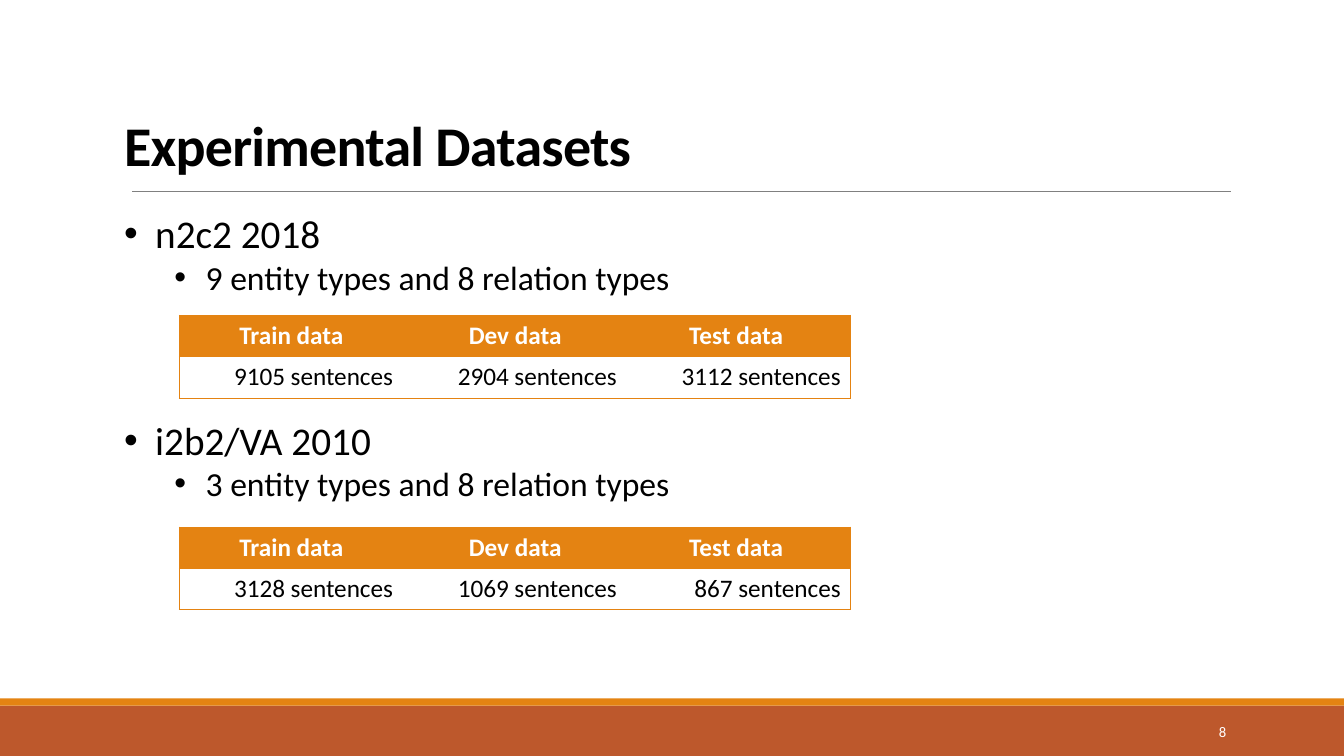
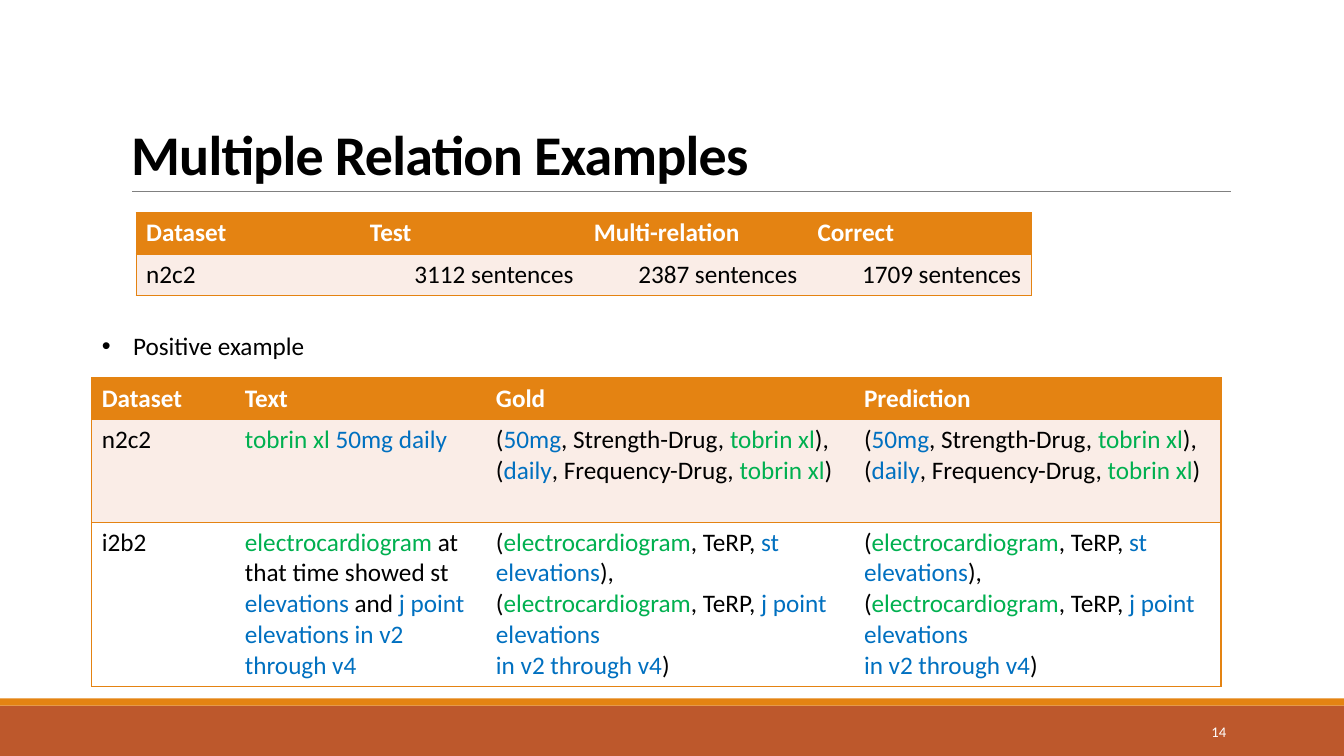
from pptx import Presentation
from pptx.dml.color import RGBColor
from pptx.enum.shapes import MSO_CONNECTOR, MSO_SHAPE
from pptx.enum.text import MSO_ANCHOR, MSO_AUTO_SIZE, PP_ALIGN
from pptx.oxml.ns import qn
from pptx.util import Inches, Pt
from lxml import etree

LEFT, MID, RIGHT = PP_ALIGN.LEFT, PP_ALIGN.CENTER, PP_ALIGN.RIGHT
FONT = "Calibri"
HEX = {"rust": "BD582C", "orange": "E48312", "tint": "FAEDE7", "white": "FFFFFF",
       "black": "000000", "gray": "808080", "green": "00B050", "blue": "0070C0"}

# Content: a rich cell is a list of paragraphs, each a list of (text, colour) runs
HEAD = ["Train data", "Dev data", "Test data "]
SETS = [
    ("n2c2 2018", "9 entity types and 8 relation types", 3.13,
     ["9105 sentences", "2904 sentences", "3112 sentences"]),
    ("i2b2/VA 2010", "3 entity types and 8 relation types", 5.23,
     ["3128 sentences", "1069 sentences", "867 sentences"]),
]
COUNTS = [
    ["Dataset", "Test", "Multi-relation", "Correct"],
    ["n2c2", "3112 sentences", "2387 sentences", "1709 sentences"],
]
DRUG = ("tobrin xl", "green")
TEST = ("electrocardiogram", "green")
OPEN, CLOSE, NEXT = ("(", "black"), (")", "black"), ("),", "black")
TERP = (", TeRP, ", "black")
DOSES = [
    [OPEN, ("50mg", "blue"), (", Strength-Drug, ", "black"), DRUG, NEXT],
    [OPEN, ("daily", "blue"), (", Frequency-Drug, ", "black"), DRUG, CLOSE],
]
SIGNS = [
    [OPEN, TEST, TERP, ("st elevations", "blue"), NEXT],
    [OPEN, TEST, TERP, ("j point elevations", "blue")],
    [("in v2 through v4", "blue"), CLOSE],
]
ORDER = [[DRUG, (" ", "black"), ("50mg daily", "blue")]]
REPORT = [[TEST, (" at that time showed st ", "black"), ("elevations", "blue"),
           (" and ", "black"), ("j point elevations in v2 through v4", "blue")]]
CASES = [
    ["Dataset", "Text", "Gold", "Prediction"],
    ["n2c2", ORDER, DOSES, DOSES],
    ["i2b2", REPORT, SIGNS, SIGNS],
]


def rgb(name):
    """Look up a named colour."""
    return RGBColor.from_string(HEX[name])


def style(para, size, color="black", bold=False, align=LEFT):
    """Set the font and alignment of a paragraph."""
    para.alignment = align
    font = para.font
    font.name, font.size, font.bold = FONT, Pt(size), bold
    font.color.rgb = rgb(color)


def place(shape, left, top, width, height):
    """Move and size a shape, in inches."""
    shape.left, shape.top = Inches(left), Inches(top)
    shape.width, shape.height = Inches(width), Inches(height)


def frame(slide):
    """Draw the bands and title rule and hand them to the slide's layout."""
    parts = []
    for top, height, color in [(7, 0.5, "rust"), (6.93, 0.07, "orange")]:
        band = slide.shapes.add_shape(MSO_SHAPE.RECTANGLE, 0, Inches(top),
                                      Inches(13.33), Inches(height))
        band.shadow.inherit = False
        band.fill.solid()
        band.fill.fore_color.rgb = rgb(color)
        band.line.fill.background()
        parts.append(band)
    rule = slide.shapes.add_connector(MSO_CONNECTOR.STRAIGHT, Inches(1.31),
                                      Inches(1.9), Inches(12.21), Inches(1.9))
    rule.line.color.rgb = rgb("gray")
    rule.line.width = Pt(0.5)
    etree.SubElement(rule.element.spPr, qn("a:effectLst"))
    for part in parts + [rule]:
        slide.slide_layout.shapes.element.append(part.element)


def start(deck, title, number, box):
    """Add a slide with its title and page number."""
    slide = deck.slides.add_slide(deck.slide_layouts[1])
    head = slide.shapes.title
    place(head, *box)
    text = head.text_frame
    text.text = title
    text.vertical_anchor = MSO_ANCHOR.BOTTOM
    text.auto_size = MSO_AUTO_SIZE.NONE
    para = text.paragraphs[0]
    para.line_spacing = 0.85
    style(para, 40, bold=True)
    para._p.get_or_add_pPr().get_or_add_defRPr().set("spc", "-50")
    page = slide.shapes.add_textbox(Inches(10.83), Inches(7.06), Inches(1.43), Inches(0.4))
    page.text_frame.word_wrap = True
    page.text_frame.vertical_anchor = MSO_ANCHOR.MIDDLE
    page.text_frame.text = str(number)
    style(page.text_frame.paragraphs[0], 10.5, "white", align=RIGHT)
    return slide


def bullets(slide, box, items):
    """Fill the body placeholder from (text, level, size, space before)."""
    body = slide.placeholders[1]
    place(body, *box)
    text = body.text_frame
    text.auto_size = MSO_AUTO_SIZE.NONE
    text.text = "\n".join(item[0] for item in items)
    for para, (_, level, size, gap) in zip(text.paragraphs, items):
        para.level = level
        para.space_before = Pt(gap)
        props = para._p.get_or_add_pPr()
        props.set("marL", str(Inches(0.31 + 0.5 * level)))
        props.set("indent", str(Inches(-0.31)))
        etree.SubElement(props, qn("a:buFont"), typeface="Arial")
        etree.SubElement(props, qn("a:buChar"), char="\u2022")
        style(para, size)


def edges(cell, first, last):
    """Rule a cell above and below, and at the outer sides of the table."""
    props = cell._tc.get_or_add_tcPr()
    sides = [("a:lnL", first), ("a:lnR", last), ("a:lnT", True), ("a:lnB", True)]
    for spot, (tag, shown) in enumerate(sides):
        line = etree.Element(qn(tag), w=str(Pt(1)))
        if shown:
            fill = etree.SubElement(line, qn("a:solidFill"))
            etree.SubElement(fill, qn("a:srgbClr"), val=HEX["orange"])
        else:
            etree.SubElement(line, qn("a:noFill"))
        props.insert(spot, line)


def write(cell, content, color, bold, align):
    """Put plain or rich text in a cell."""
    text = cell.text_frame
    if isinstance(content, str):
        content = [[(content, color)]]
    for i, runs in enumerate(content):
        para = text.add_paragraph() if i else text.paragraphs[0]
        style(para, 18, color, bold, align)
        for words, tone in runs:
            run = para.add_run()
            run.text = words
            if tone != color:
                run.font.color.rgb = rgb(tone)


def grid(slide, left, top, widths, heights, rows, fills, aligns):
    """Add a table; aligns holds the header's and the body's alignments."""
    table = slide.shapes.add_table(len(rows), len(widths), Inches(left), Inches(top),
                                   Inches(sum(widths)), Inches(sum(heights))).table
    for column, width in zip(table.columns, widths):
        column.width = Inches(width)
    for r, row in enumerate(rows):
        table.rows[r].height = Inches(heights[r])
        for c, content in enumerate(row):
            cell = table.cell(r, c)
            cell.fill.solid()
            cell.fill.fore_color.rgb = rgb(fills[r])
            edges(cell, c == 0, c == len(row) - 1)
            write(cell, content, "black" if r else "white", r == 0, aligns[r > 0][c])


deck = Presentation()
deck.slide_width, deck.slide_height = Inches(13.33), Inches(7.5)

data = start(deck, "Experimental Datasets", 8, (1.13, 0.72, 10.85, 1.1))
frame(data)
items = []
for i, (name, types, top, sizes) in enumerate(SETS):
    items += [(name, 0, 28, 85 * i), (types, 1, 24, 0)]
    grid(data, 1.78, top, [2.22] * 3, [0.41] * 2, [HEAD, sizes],
         ["orange", "white"], [[MID] * 3, [RIGHT] * 3])
bullets(data, (1.13, 2.03, 11.14, 3.87), items)

multi = start(deck, "Multiple Relation Examples", 14, (1.2, 0.31, 11, 1.59))
grid(multi, 1.35, 2.11, [2.22] * 4, [0.41] * 2, COUNTS,
     ["orange", "tint"], [[LEFT] * 4, [LEFT] + [RIGHT] * 3])
grid(multi, 0.91, 3.75, [1.42, 2.49, 3.65, 3.64], [0.41, 1.02, 1.63], CASES,
     ["orange", "tint", "white"], [[LEFT] * 4] * 2)
bullets(multi, (0.91, 3.23, 2.57, 0.4), [("Positive example", 0, 18, 0)])

deck.save("out.pptx")
